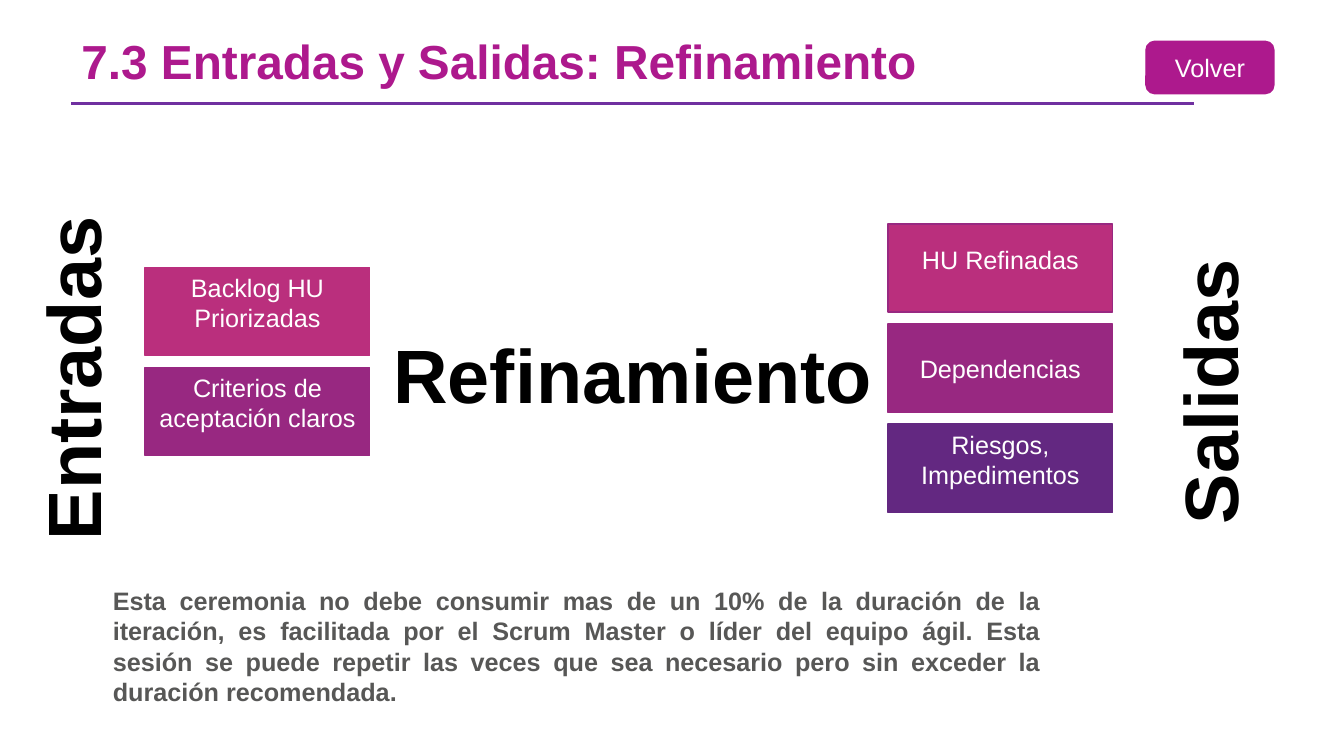
import pptx
import pptx.util
import pptx.dml.color
import pptx.enum.shapes
import pptx.enum.text
import pptx.oxml.ns
import lxml.etree

Pt = pptx.util.Pt
Shape = pptx.enum.shapes.MSO_SHAPE
Align = pptx.enum.text.PP_ALIGN
Anchor = pptx.enum.text.MSO_ANCHOR
Fit = pptx.enum.text.MSO_AUTO_SIZE
qn = pptx.oxml.ns.qn


def color(code):
    return pptx.dml.color.RGBColor.from_string(code)


class Deck:
    """Holds the style and the current slide, and draws each kind of element."""

    face = "Arial"
    size = 18
    pink = "BA2F7D"
    plum = "982881"
    violet = "632881"
    brand = "AD198D"
    rule = "7030A0"
    gray = "575756"

    def __init__(self, deck):
        self.slide = deck.slides.add_slide(deck.slide_layouts[5])

    def style(self, frame, text, size, code, bold=False, align=Align.CENTER):
        frame.text = text
        line = frame.paragraphs[0]
        line.alignment = align
        font = line.runs[0].font
        font.name = self.face
        font.size = Pt(size)
        font.bold = bold
        font.color.rgb = color(code)
        return line

    def title(self, text, x, y, w, h):
        item = self.slide.shapes.title
        item.left, item.top, item.width, item.height = Pt(x), Pt(y), Pt(w), Pt(h)
        frame = item.text_frame
        line = self.style(frame, text, 34.1, self.brand, True, Align.LEFT)
        line.line_spacing = 0.7
        frame.vertical_anchor = Anchor.MIDDLE
        frame.auto_size = Fit.NONE

    def line(self, x, y, end):
        item = self.slide.shapes.add_connector(
            pptx.enum.shapes.MSO_CONNECTOR.STRAIGHT, Pt(x), Pt(y), Pt(end), Pt(y))
        item.line.color.rgb = color(self.rule)
        item.line.width = Pt(2.25)
        lxml.etree.SubElement(item._element.spPr, qn("a:effectLst"))

    def box(self, text, x, y, w, h, fill, edge=None, kind=Shape.RECTANGLE, lift=0):
        item = self.slide.shapes.add_shape(kind, Pt(x), Pt(y), Pt(w), Pt(h))
        item.shadow.inherit = False
        item.fill.solid()
        item.fill.fore_color.rgb = color(fill)
        item.line.color.rgb = color(edge or fill)
        item.line.width = Pt(1)
        frame = item.text_frame
        frame.word_wrap = True
        frame.vertical_anchor = Anchor.MIDDLE
        frame.margin_bottom = Pt(3.6 + lift)
        self.style(frame, text, self.size, "FFFFFF")

    def stack(self, x, y, rows):
        for i, (text, fill, edge, lift) in enumerate(rows):
            self.box(text, x, y + 71.5 * i, 160.5, 63, fill, edge, lift=lift)

    def text(self, x, y, w, h, wrap):
        item = self.slide.shapes.add_textbox(Pt(x), Pt(y), Pt(w), Pt(h))
        item.text_frame.word_wrap = wrap
        item.text_frame.auto_size = Fit.SHAPE_TO_FIT_TEXT
        return item

    def label(self, text, x, y, w, edge, turn=0):
        item = self.text(x, y, w, 72.7, False)
        item.rotation = turn
        line = self.style(item.text_frame, text, 54, "000000", True)
        rim = lxml.etree.Element(qn("a:ln"), w=str(Pt(edge)))
        fill = lxml.etree.SubElement(rim, qn("a:solidFill"))
        lxml.etree.SubElement(fill, qn("a:srgbClr"), val="FFFFFF")
        line.runs[0]._r.get_or_add_rPr().insert(0, rim)

    def note(self, text, x, y, w, h):
        item = self.text(x, y, w, h, True)
        self.style(item.text_frame, text, self.size, self.gray, True, Align.JUSTIFY)


def main():
    deck = pptx.Presentation()
    deck.slide_width, deck.slide_height = Pt(960), Pt(540)
    page = Deck(deck)
    page.line(51, 74.2, 853.2)
    page.title("7.3 Entradas y Salidas: Refinamiento", 51, 22.3, 640, 52)
    lift = 12.6
    page.stack(103.7, 191, [
        ("Backlog HU Priorizadas", page.pink, None, lift),
        ("Criterios de aceptación claros", page.plum, None, lift),
    ])
    page.stack(634.3, 160, [
        ("HU Refinadas", page.pink, page.plum, lift),
        ("Dependencias", page.plum, None, 0),
        ("Riesgos, Impedimentos", page.violet, None, lift),
    ])
    page.label("Refinamiento", 272, 231, 360, 1.06)
    page.label("Entradas", -72.7, 234, 247.7, 0.75, 270)
    page.label("Salidas", 761, 243.4, 205.2, 0.75, 270)
    page.note(
        "Esta ceremonia no debe consumir mas de un 10% de la duración de la "
        "iteración, es facilitada por el Scrum Master o líder del equipo ágil. "
        "Esta sesión se puede repetir las veces que sea necesario pero sin "
        "exceder la duración recomendada.", 73.5, 414.7, 676.8, 94.3)
    page.box("Volver", 818.6, 29.5, 91.4, 37.4, page.brand, kind=Shape.ROUNDED_RECTANGLE)
    deck.save("out.pptx")


if __name__ == "__main__":
    main()
